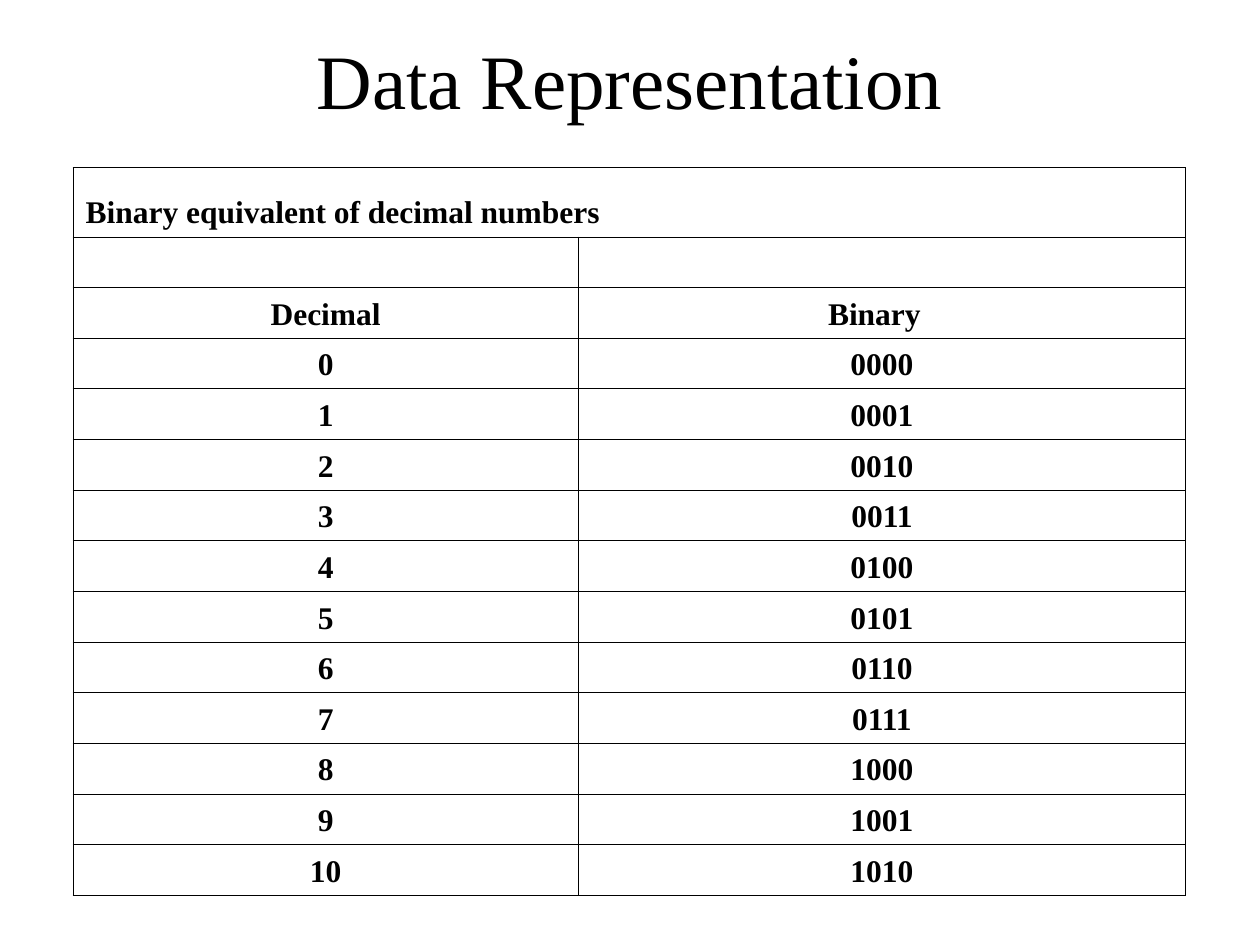
"""Build a slide with a table of decimal numbers and their binary equivalents."""
from lxml.etree import SubElement
from pptx import Presentation
from pptx.dml.color import RGBColor
from pptx.enum.text import MSO_ANCHOR as Anchor, PP_ALIGN as Align
from pptx.oxml.ns import qn
from pptx.util import Inches, Pt

TITLE = "Data Representation"
CAPTION = "Binary equivalent of decimal numbers"
HEADINGS = ("Decimal", "Binary")
NUMBERS = [(str(number), f"{number:04b}") for number in range(11)]
ROWS = [(CAPTION, ""), ("", ""), HEADINGS, *NUMBERS]

FONT = "Times New Roman"
BLACK = RGBColor(0, 0, 0)
COLUMN_WIDTHS = (4.01, 4.82)
TABLE_HEIGHT = 5.78
CAPTION_HEIGHT = 0.55
ROW_HEIGHT = (TABLE_HEIGHT - CAPTION_HEIGHT) / (len(ROWS) - 1)


def write(frame, text, size, align, bold=False):
    para = frame.paragraphs[0]
    para.alignment = align
    span = para.add_run()
    span.text = text
    span.font.name = FONT
    span.font.size = Pt(size)
    span.font.bold = bold
    span.font.color.rgb = BLACK


def add_borders(cell):
    properties = cell._tc.get_or_add_tcPr()
    for side in ("a:lnL", "a:lnR", "a:lnT", "a:lnB"):
        line = SubElement(properties, qn(side), w=str(Pt(0.45)))
        fill = SubElement(line, qn("a:solidFill"))
        SubElement(fill, qn("a:srgbClr"), val=str(BLACK))


def add_title(page):
    box = page.shapes.add_textbox(Inches(0.75), 0, Inches(8.5), Inches(1.25))
    box.text_frame.word_wrap = True
    box.text_frame.vertical_anchor = Anchor.MIDDLE
    write(box.text_frame, TITLE, 44, Align.CENTER)


def add_number_table(page):
    table = page.shapes.add_table(
        len(ROWS), len(COLUMN_WIDTHS), Inches(0.58), Inches(1.33),
        Inches(sum(COLUMN_WIDTHS)), Inches(TABLE_HEIGHT)).table
    table.first_row = table.horz_banding = False
    for column, width in zip(table.columns, COLUMN_WIDTHS):
        column.width = Inches(width)
    for index, (row, values) in enumerate(zip(table.rows, ROWS)):
        row.height = Inches(ROW_HEIGHT if index else CAPTION_HEIGHT)
        for cell, text in zip(row.cells, values):
            add_borders(cell)
            cell.fill.background()
            cell.vertical_anchor = Anchor.BOTTOM
            if text:
                align = Align.CENTER if index else Align.LEFT
                write(cell.text_frame, text, 18, align, bold=True)
            else:
                cell.margin_top = cell.margin_bottom = 0
    table.cell(2, 1).margin_right = Inches(0.22)
    table.cell(0, 0).merge(table.cell(0, 1))


def main():
    deck = Presentation()
    deck.slide_width, deck.slide_height = Inches(10), Inches(7.5)
    page = deck.slides.add_slide(deck.slide_layouts[6])
    add_title(page)
    add_number_table(page)
    deck.save("out.pptx")


if __name__ == "__main__":
    main()
